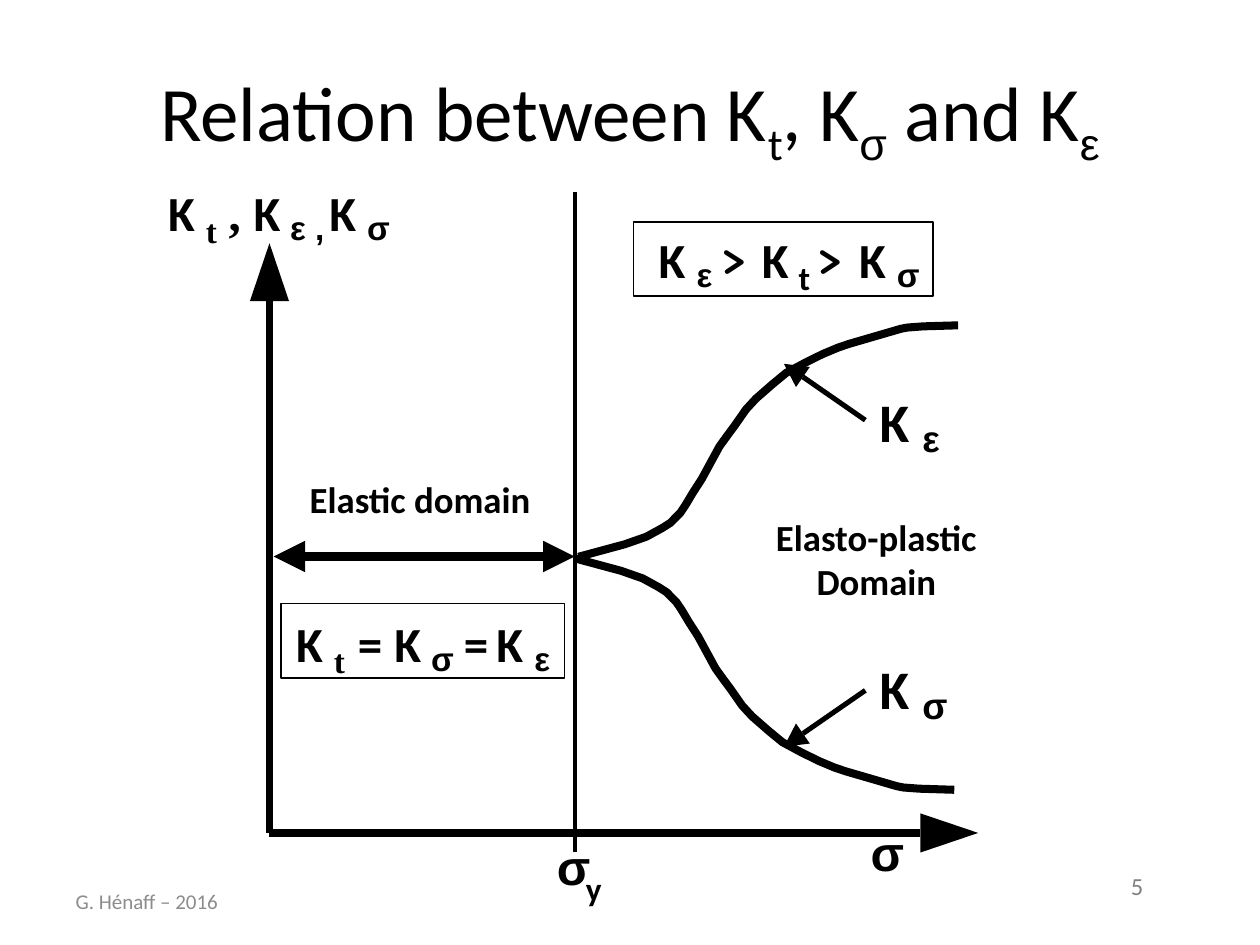
from math import hypot
from lxml.etree import SubElement
from pptx import Presentation
from pptx.dml.color import RGBColor
from pptx.enum.shapes import MSO_CONNECTOR as Connector, MSO_SHAPE as Shape
from pptx.enum.text import MSO_ANCHOR as Anchor, MSO_AUTO_SIZE as AutoSize, PP_ALIGN as Align
from pptx.oxml.ns import qn
from pptx.util import Pt

COLORS = {"ink": "000000", "number": "808080", "footer": "8C8C8C"}
BODY, GREEK, SERIF, COMIC = "Calibri", "Arial", "Times New Roman", "Comic Neue"

# Symbol style: font, size, drop below the top of the K
SYMBOLS = {
    "K": (BODY, 28, 0),
    "=": (BODY, 28, 0),
    ",": (SERIF, 28, 0),
    ">": (COMIC, 28, -2.5),
    "t": (SERIF, 19, 15.4),
    "ε": (GREEK, 19, 14),
    "ε ,": (GREEK, 19, 14),
    "σ": (GREEK, 19, 14),
}

# Offsets of the upper branch from the yield point; the lower one mirrors it
BRANCH = [(0, 0), (26.6, -7.2), (38.9, -11.5), (48.2, -16.6), (52.6, -19.4),
          (58.3, -25.2), (61.2, -29.5), (65.5, -36.7), (70.6, -44.6),
          (74.5, -51.8), (80.6, -63), (85, -69.1), (89.3, -74.9),
          (95.8, -84.2), (101.5, -90.4), (110.9, -98.6), (118.8, -105.1),
          (129.6, -110.9), (139.7, -115.9), (148.3, -119.5), (154.8, -121.7),
          (184.3, -130.3), (188, -131), (197, -131.7), (217, -132.3)]


def color(name):
    return RGBColor.from_string(COLORS[name])


def add_run(paragraph, text, font, size, tint="ink", bold=False, subscript=False):
    run = paragraph.add_run()
    run.text = text
    run.font.name, run.font.size, run.font.bold = font, Pt(size), bold
    run.font.color.rgb = color(tint)
    if subscript:
        run.font._element.set("baseline", "-25000")


def add_label(slide, left, top, width, height, lines, font, size,
              tint="ink", bold=True, align=Align.LEFT, anchor=Anchor.TOP):
    box = slide.shapes.add_textbox(Pt(left), Pt(top), Pt(width), Pt(height))
    frame = box.text_frame
    frame.word_wrap = True
    frame.vertical_anchor = anchor
    frame.margin_left = frame.margin_right = frame.margin_top = frame.margin_bottom = 0
    for index, line in enumerate(lines):
        paragraph = frame.add_paragraph() if index else frame.paragraphs[0]
        paragraph.alignment = align
        add_run(paragraph, line, font, size, tint, bold)


def add_symbol(slide, left, top, text, font, size):
    add_label(slide, left, top, size * 0.9 * len(text), size * 1.22, [text], font, size)


def add_formula(slide, left, top, symbols):
    """Places (symbol, offset) pairs along one line."""
    for text, offset in symbols:
        font, size, drop = SYMBOLS[text]
        add_symbol(slide, left + offset, top + drop, text, font, size)


def add_line(slide, start, end, width):
    line = slide.shapes.add_connector(Connector.STRAIGHT, *map(Pt, start + end))
    line.line.width = Pt(width)
    line.line.color.rgb = color("ink")
    SubElement(line._element.spPr, qn("a:effectLst"))


def add_path(slide, left, top, points, closed):
    """Draws an outline through points, exact to a tenth of a point."""
    tenths = [(10 * x, 10 * y) for x, y in points]
    builder = slide.shapes.build_freeform(*tenths[0], scale=Pt(1) / 10)
    builder.add_line_segments(tenths[1:], close=closed)
    outline = builder.convert_to_shape(Pt(left), Pt(top))
    outline.shadow.inherit = False
    return outline


def add_arrow(slide, start, end, width, head_length, head_width, double=False):
    """Draws a shaft with a solid head at the end, or at both ends."""
    length = hypot(end[0] - start[0], end[1] - start[1])
    ux, uy = (end[0] - start[0]) / length, (end[1] - start[1]) / length

    def add_head(tip, sign):
        base_x, base_y = (-sign * head_length * u for u in (ux, uy))
        side_x, side_y = -uy * head_width / 2, ux * head_width / 2
        head = add_path(slide, *tip, [(0, 0), (base_x + side_x, base_y + side_y),
                                      (base_x - side_x, base_y - side_y)], True)
        head.fill.solid()
        head.fill.fore_color.rgb = color("ink")
        head.line.fill.background()
        return tip[0] + base_x, tip[1] + base_y

    shaft_end = add_head(end, 1)
    shaft_start = add_head(start, -1) if double else start
    add_line(slide, shaft_start, shaft_end, width)


def add_frame(slide, left, top, width, height):
    frame = slide.shapes.add_shape(Shape.RECTANGLE, *map(Pt, (left, top, width, height)))
    frame.shadow.inherit = False
    frame.fill.background()
    frame.line.color.rgb = color("ink")
    frame.line.width = Pt(0.88)


def add_branch(slide, left, top, direction):
    """Draws a curve from the yield point: direction 1 rises, -1 falls."""
    curve = add_path(slide, left, top, [(x, direction * y) for x, y in BRANCH], False)
    curve.fill.background()
    curve.line.color.rgb = color("ink")
    curve.line.width = Pt(4.6)


def add_title(slide, left, top, width, height):
    title = slide.shapes.title
    title.left, title.top, title.width, title.height = map(Pt, (left, top, width, height))
    frame = title.text_frame
    frame.auto_size = AutoSize.NONE
    frame.vertical_anchor = Anchor.MIDDLE
    paragraph = frame.paragraphs[0]
    paragraph.alignment = Align.CENTER
    for text, font, subscript in [
            ("Relation between K", BODY, False), ("t", BODY, True),
            (", K", BODY, False), ("σ", GREEK, True),
            (" and K", BODY, False), ("ε", GREEK, True)]:
        add_run(paragraph, text, font, 44, subscript=subscript)


def add_axes(slide, left, top):
    origin = (left + 58, top + 372)
    for tip in [(left + 463, top + 372), (left + 58, top + 35)]:
        add_arrow(slide, origin, tip, 4.5, 33.1, 22.3)
    add_line(slide, (left + 232.7, top + 383), (left + 232.7, top + 6), 2.4)
    add_formula(slide, left, top + 0.5, [("K", 0), ("t", 21.6), (",", 34.6), ("K", 49),
                                         ("ε ,", 69.8), ("K", 92.2), ("σ", 113.8)])
    add_symbol(slide, left + 401.5, top + 366.2, "σ", GREEK, 28)
    add_symbol(slide, left + 222.2, top + 374, "σ", GREEK, 28)
    add_symbol(slide, left + 238.8, top + 392, "y", BODY, 19)


def add_elastic_domain(slide, left, top):
    add_label(slide, left + 21, top + 0.4, 140, 25.2, ["Elastic domain"], BODY, 21)
    add_arrow(slide, (left + 0.4, top + 46), (left + 172.3, top + 46), 4.6, 18, 18, True)
    add_frame(slide, left + 4.6, top + 72.9, 162, 42.5)
    add_formula(slide, left + 13.2, top + 78.5,
                [("K", 0), ("t", 21.6), ("=", 35.3), ("K", 56.2),
                 ("σ", 77.1), ("=", 95.8), ("K", 114.5), ("ε", 136.1)])


def add_plastic_domain(slide, left, top):
    add_frame(slide, left + 33, top, 171.2, 42.5)
    add_formula(slide, left + 47.4, top + 4.5, [
        ("K", 0), ("ε", 21.6), (">", 36), ("K", 59),
        (">", 90.7), ("K", 114.5), ("σ", 136.1)])
    add_symbol(slide, left + 127.3, top + 20.2, "t", BODY, 19)
    add_label(slide, left + 113.8, top + 167.2, 116, 51,
              ["Elasto-plastic", "Domain"], BODY, 21, align=Align.CENTER)
    middle = top + 190.6
    for symbol, direction, start_x, start_y, label_top in [
            ("ε", 1, left + 1.5, top + 191.5, top + 95),
            ("σ", -1, left - 0.7, top + 192.3, top + 247.7)]:
        add_branch(slide, start_x, start_y, direction)
        add_arrow(slide, (left + 165.5, middle - direction * 77.2),
                  (left + 119, middle - direction * 109.4), 2.9, 13.2, 14)
        add_symbol(slide, left + 173.6, label_top, "K", BODY, 31)
        add_symbol(slide, left + 198.1, label_top + 15.8, symbol, GREEK, 21)


def add_footer(slide, left, top, width, height):
    add_label(slide, left, top + 6.4, 160, height - 6, ["G. Hénaff – 2016"], BODY, 12,
              "footer", bold=False, anchor=Anchor.MIDDLE)
    add_label(slide, left + width - 30.4, top + 3.6, 30, 17, ["5"], BODY, 14,
              "number", bold=False)


def main():
    deck = Presentation()
    deck.slide_width, deck.slide_height = Pt(720), Pt(540)
    slide = deck.slides.add_slide(deck.slide_layouts[5])
    add_title(slide, 36, 22, 648, 90)
    add_axes(slide, 96, 104)
    add_elastic_domain(slide, 156, 272)
    add_plastic_domain(slide, 329, 126.7)
    add_footer(slide, 43.2, 494, 633.4, 35)
    deck.save("out.pptx")


if __name__ == "__main__":
    main()
